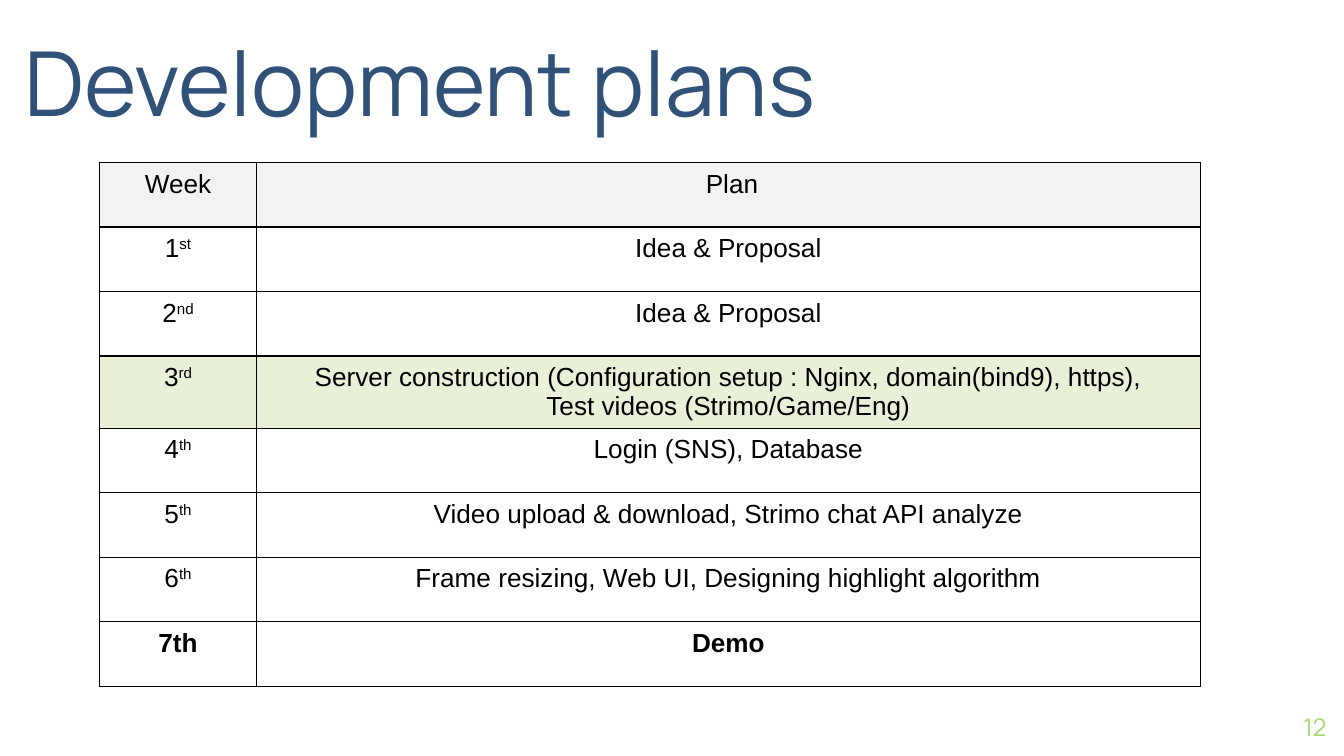
"""Build the development plans slide with its weekly schedule table."""
from typing import NamedTuple, Optional

from pptx import Presentation
from pptx.dml.color import RGBColor
from pptx.enum.text import MSO_ANCHOR as ANCHOR, PP_ALIGN as ALIGN
from pptx.oxml import parse_xml
from pptx.oxml.ns import nsdecls
from pptx.util import Inches, Pt

BLACK = RGBColor(0x00, 0x00, 0x00)
NAVY = RGBColor(0x30, 0x51, 0x78)
LIME = RGBColor(0xA7, 0xD8, 0x6D)
GREY = RGBColor(0xF2, 0xF2, 0xF2)
PALE_GREEN = RGBColor(0xE8, 0xF0, 0xD8)

SLIDE_WIDTH = 10
COL_WIDTHS = (1.17, 7.02)
ROW_HEIGHT = 0.48


class Label(NamedTuple):
    text: str
    box: tuple
    size: float
    color: RGBColor
    align: ALIGN
    anchor: ANCHOR


class Week(NamedTuple):
    name: str
    plan: tuple
    suffix: str = ""
    fill: Optional[RGBColor] = None
    bold: bool = False


LABELS = (
    Label("12", (9.27, 5.19, 0.6, 0.43), 13, LIME, ALIGN.RIGHT, ANCHOR.MIDDLE),
    Label("Development plans", (0.18, 0.06, 6.89, 0.94), 48, NAVY, ALIGN.LEFT, ANCHOR.BOTTOM),
)

WEEKS = (
    Week("Week", (" Plan",), fill=GREY),
    Week("1", ("Idea & Proposal",), "st"),
    Week("2", ("Idea & Proposal",), "nd"),
    Week("3", ("Server construction (Configuration setup : Nginx, domain(bind9), https),",
               "Test videos (Strimo/Game/Eng)"), "rd", PALE_GREEN),
    Week("4", ("Login (SNS), Database",), "th"),
    Week("5", ("Video upload & download, Strimo chat API analyze",), "th"),
    Week("6", ("Frame resizing, Web UI, Designing highlight algorithm",), "th"),
    Week("7th", ("Demo",), bold=True),
)


def add_run(p, text: str, color: RGBColor, **font):
    r = p.add_run()
    r.text = text
    for name, value in font.items():
        setattr(r.font, name, value)
    r.font.color.rgb = color
    return r


def add_label(s, label: Label) -> None:
    tf = s.shapes.add_textbox(*map(Inches, label.box)).text_frame
    frame = {"word_wrap": True, "vertical_anchor": label.anchor, "margin_left": 0,
             "margin_right": 0, "margin_top": 0, "margin_bottom": 0}
    for name, value in frame.items():
        setattr(tf, name, value)
    p = tf.paragraphs[0]
    p.alignment = label.align
    add_run(p, label.text, label.color, name="Manrope", size=Pt(label.size))


def style_cell(cell, fill: Optional[RGBColor]) -> None:
    cell.margin_bottom = Inches(0.02)
    tc_pr = cell._tc.get_or_add_tcPr()
    for side in "LRTB":
        tc_pr.append(parse_xml(
            f'<a:ln{side} {nsdecls("a")} w="{Pt(0.75)}"><a:solidFill>'
            f'<a:srgbClr val="{BLACK}"/></a:solidFill></a:ln{side}>'))
    if fill is None:
        cell.fill.background()
    else:
        cell.fill.solid()
        cell.fill.fore_color.rgb = fill


def fill_cell(cell, lines: tuple, week: Week, suffix: str = "") -> None:
    style_cell(cell, week.fill)
    tf = cell.text_frame
    font = {"name": "Arial", "size": Pt(14), "bold": week.bold}
    for i, line in enumerate(lines):
        p = tf.add_paragraph() if i else tf.paragraphs[0]
        p.alignment = ALIGN.CENTER
        add_run(p, line, BLACK, **font)
    if suffix:
        r = add_run(p, suffix, BLACK, **font)
        r._r.get_or_add_rPr().set("baseline", "30000")


def add_schedule(s, weeks: tuple) -> None:
    table = s.shapes.add_table(
        len(weeks), len(COL_WIDTHS), Inches(0.74), Inches(1.21),
        Inches(sum(COL_WIDTHS)), Inches(ROW_HEIGHT * len(weeks))).table
    table.first_row = table.horz_banding = False
    for column, width in zip(table.columns, COL_WIDTHS):
        column.width = Inches(width)
    for row, week in zip(table.rows, weeks):
        row.height = Inches(ROW_HEIGHT)
        name_cell, plan_cell = row.cells
        fill_cell(name_cell, (week.name,), week, week.suffix)
        fill_cell(plan_cell, week.plan, week)


def main() -> None:
    prs = Presentation()
    prs.slide_width = Inches(SLIDE_WIDTH)
    prs.slide_height = Inches(SLIDE_WIDTH * 9 / 16)
    s = prs.slides.add_slide(prs.slide_layouts[6])
    for label in LABELS:
        add_label(s, label)
    add_schedule(s, WEEKS)
    prs.save("out.pptx")


if __name__ == "__main__":
    main()
